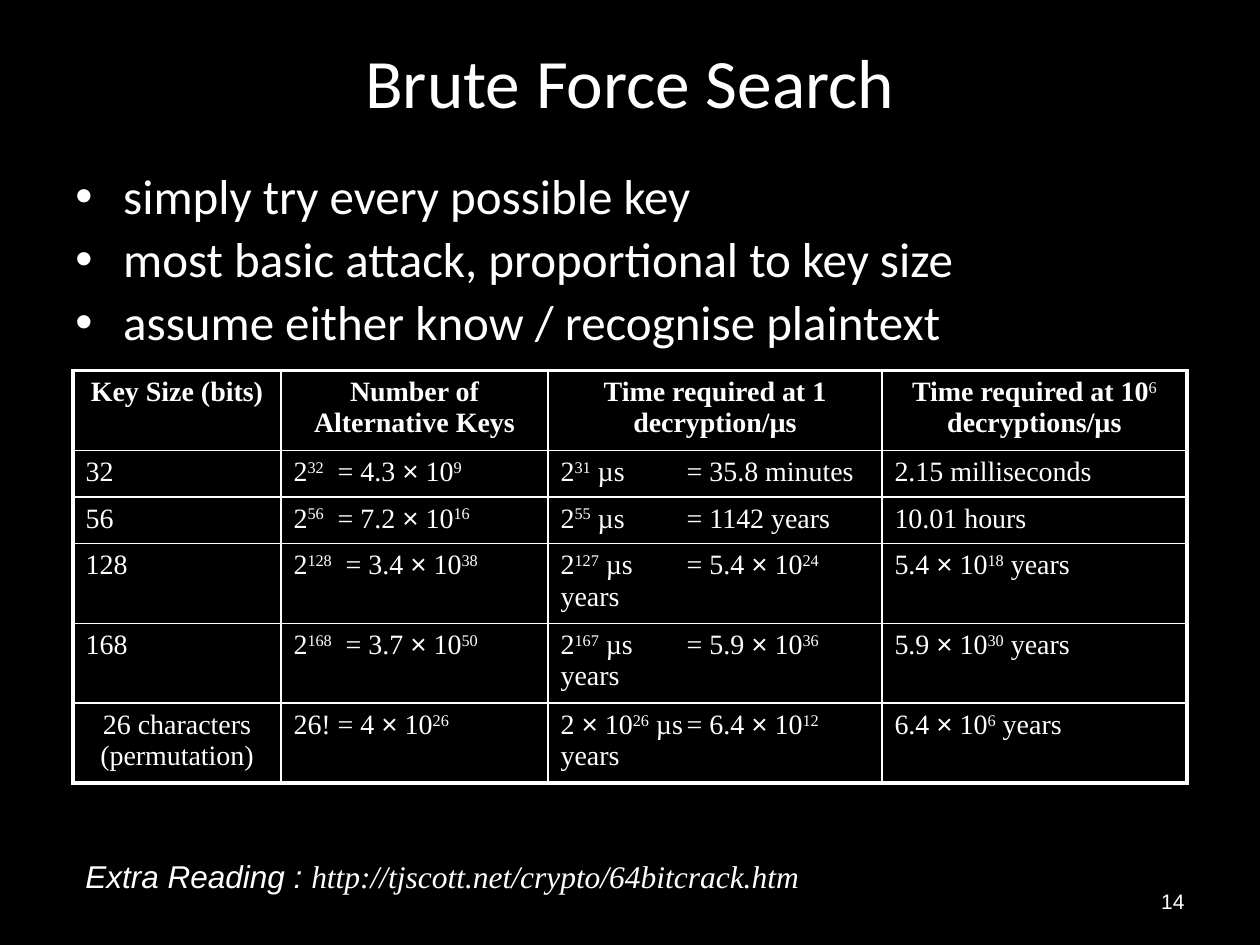
from pptx import Presentation
from pptx.dml.color import RGBColor
from pptx.enum.text import MSO_ANCHOR, MSO_AUTO_SIZE, PP_ALIGN
from pptx.oxml.ns import qn
from pptx.util import Inches, Pt
from lxml.etree import SubElement

WHITE = RGBColor(255, 255, 255)
BLACK = RGBColor(0, 0, 0)
SERIF = "Times New Roman"

TITLE = "Brute Force Search"
POINTS = [
    "simply try every possible key",
    "most basic attack, proportional to key size",
    "assume either know / recognise plaintext",
]
ROWS = [
    ["Key Size (bits)", "Number of Alternative Keys",
     "Time required at 1 decryption/µs", "Time required at 10^6^ decryptions/µs"],
    ["32", "2^32^  = 4.3 × 10^9^", "2^31^ µs\t= 35.8 minutes", "2.15 milliseconds"],
    ["56", "2^56^  = 7.2 × 10^16^", "2^55^ µs\t= 1142 years", "10.01 hours"],
    ["128", "2^128^  = 3.4 × 10^38^", "2^127^ µs\t= 5.4 × 10^24^ years",
     "5.4 × 10^18^ years"],
    ["168", "2^168^  = 3.7 × 10^50^", "2^167^ µs\t= 5.9 × 10^36^ years",
     "5.9 × 10^30^ years"],
    ["26 characters (permutation)", "26! = 4 × 10^26^",
     "2 × 10^26^ µs\t= 6.4 × 10^12^ years", "6.4 × 10^6^ years"],
]
WIDTHS = [1.65, 2.12, 2.65, 2.42]
HEIGHTS = [0.59, 0.37, 0.37, 0.6, 0.59, 0.61]
LINK = [("Extra Reading : ", "Arial"),
        ("http://tjscott.net/crypto/64bitcrack.htm", SERIF)]


def write(para, text, size=16, face=SERIF, bold=False, italic=False,
          align=PP_ALIGN.LEFT, gap=0):
    para.alignment = align
    para.space_before = para.space_after = Pt(gap)
    for i, part in enumerate(text.split("^")):
        for piece in part.replace("×", "|×|").split("|"):
            if not piece:
                continue
            run = para.add_run()
            run.text = piece
            font = run.font
            font.size = Pt(size)
            font.name = "Arial" if piece == "×" else face
            font.bold = bold and i % 2 == 0
            font.italic = italic
            font.color.rgb = WHITE
            if i % 2:
                run._r.get_or_add_rPr().set("baseline", "30000")


def box(slide, left, top, width, height):
    frame = slide.shapes.add_textbox(*map(Inches, (left, top, width, height))).text_frame
    frame.word_wrap = True
    return frame


def bullet(para):
    para.line_spacing = 0.9
    para.space_before = Pt(5.6)
    props = para._p.get_or_add_pPr()
    props.set("marL", str(Inches(0.38)))
    props.set("indent", str(-Inches(0.38)))
    SubElement(props, qn("a:buFont"), typeface="Arial")
    SubElement(props, qn("a:buChar"), char="•")


def border(cell, outer):
    props = cell._tc.get_or_add_tcPr()
    for side in "LRTB":
        width = Pt(2.25 if side in outer else 1)
        line = SubElement(props, qn("a:ln" + side), w=str(width))
        fill = SubElement(line, qn("a:solidFill"))
        SubElement(fill, qn("a:srgbClr"), val=str(WHITE))


def grid(slide):
    rows, cols = len(ROWS), len(WIDTHS)
    table = slide.shapes.add_table(rows, cols, Inches(0.58), Inches(2.94),
                                   Inches(sum(WIDTHS)), Inches(sum(HEIGHTS))).table
    table.first_row = table.horz_banding = False
    for col, width in zip(table.columns, WIDTHS):
        col.width = Inches(width)
    for row, height in zip(table.rows, HEIGHTS):
        row.height = Inches(height)
    for r, texts in enumerate(ROWS):
        for c, text in enumerate(texts):
            cell = table.cell(r, c)
            edges = {"L": c == 0, "R": c == cols - 1, "T": r == 0, "B": r == rows - 1}
            border(cell, [side for side, on in edges.items() if on])
            cell.fill.background()
            mid = r == 0 or (r == rows - 1 and c == 0)
            write(cell.text_frame.paragraphs[0], text, bold=r == 0, gap=3,
                  align=PP_ALIGN.CENTER if mid else PP_ALIGN.LEFT)


def main():
    deck = Presentation()
    deck.slide_width, deck.slide_height = Inches(10), Inches(7.5)
    slide = deck.slides.add_slide(deck.slide_layouts[5])
    slide.background.fill.solid()
    slide.background.fill.fore_color.rgb = BLACK

    title = slide.shapes.title
    title.left, title.top, title.width, title.height = map(Inches, (0.5, 0.3, 9, 0.69))
    title.text_frame.auto_size = MSO_AUTO_SIZE.NONE
    title.text_frame.vertical_anchor = MSO_ANCHOR.MIDDLE
    write(title.text_frame.paragraphs[0], TITLE, size=39.6, face="Calibri",
          align=PP_ALIGN.CENTER)

    body = box(slide, 0.5, 1.32, 9, 2)
    for i, text in enumerate(POINTS):
        para = body.add_paragraph() if i else body.paragraphs[0]
        write(para, text, size=28, face="Calibri")
        bullet(para)

    page = box(slide, 7.17, 6.95, 2.33, 0.4)
    page.vertical_anchor = MSO_ANCHOR.MIDDLE
    write(page.paragraphs[0], "14", size=12, face="Arial", align=PP_ALIGN.RIGHT)

    grid(slide)

    foot = box(slide, 0.58, 6.75, 8.43, 0.4)
    for text, face in LINK:
        write(foot.paragraphs[0], text, size=18, face=face, italic=True)

    deck.save("out.pptx")


if __name__ == "__main__":
    main()
